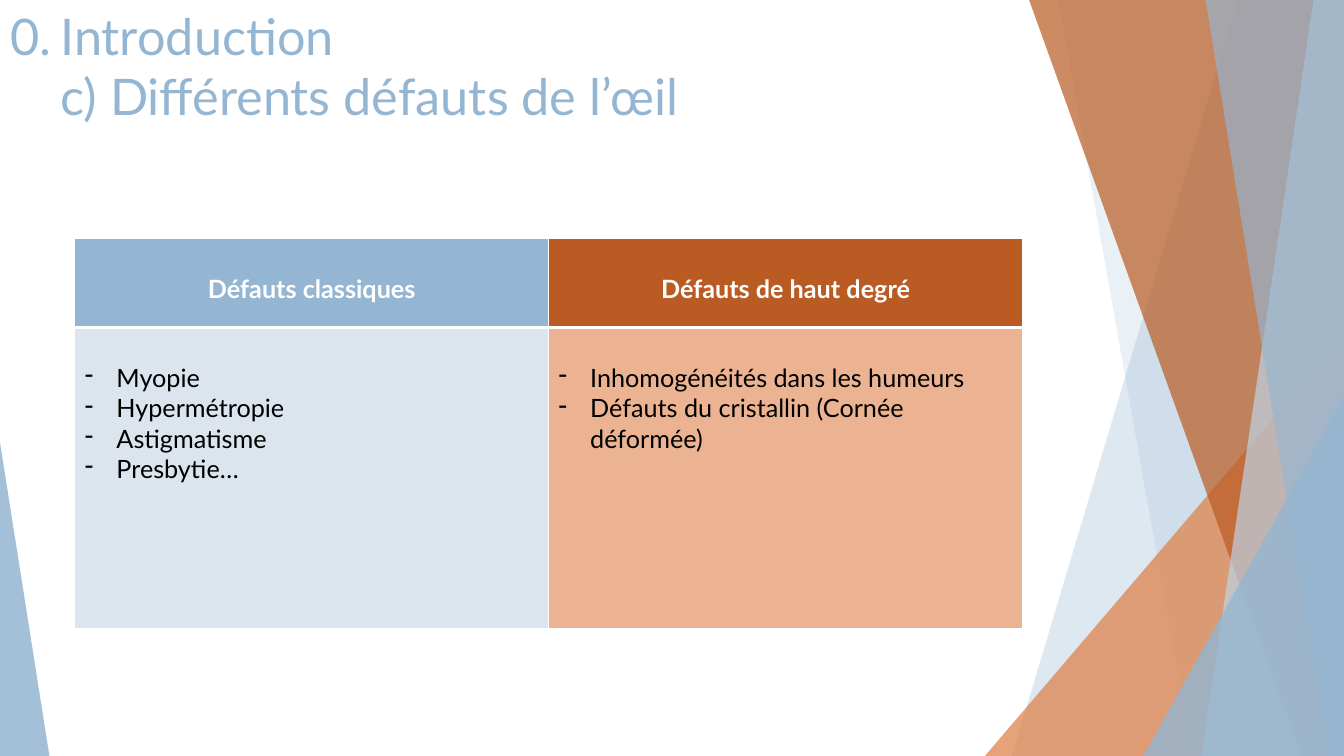
import pptx
import pptx.util
import pptx.dml.color
import pptx.enum.shapes
import pptx.enum.text
import pptx.oxml.ns
from lxml import etree

Pt = pptx.util.Pt
RGB = pptx.dml.color.RGBColor.from_string
qn = pptx.oxml.ns.qn


class Theme:
    font = "Lato"
    title_size, body_size = 36, 18
    blue, pale_blue, mist = "94B6D2", "DCE5EE", "BFD3E4"
    rust, orange, peach = "B95B22", "DD8047", "EBB391"
    white, black = "FFFFFF", "000000"


SLIDE_W, SLIDE_H = 960, 540


def add_run(p, text, size, color, bold=False):
    r = p.add_run()
    r.text = text
    r.font.name, r.font.size, r.font.bold = Theme.font, Pt(size), bold
    r.font.color.rgb = RGB(color)


def paint(sp, color, opacity):
    """Flat translucent fill without line or shadow."""
    sp.shadow.inherit = False
    sp.line.fill.background()
    sp.fill.solid()
    sp.fill.fore_color.rgb = RGB(color)
    clr = sp.fill._xPr.find(qn("a:solidFill"))[0]
    etree.SubElement(clr, qn("a:alpha"), val=str(opacity * 1000))


def add_wedge(s, top_x, bottom_x, color, opacity):
    """Full-height panel from a slanted left side to the right slide edge."""
    fb = s.shapes.build_freeform(Pt(top_x), 0, scale=1.0)
    fb.add_line_segments([(Pt(SLIDE_W), 0), (Pt(SLIDE_W), Pt(SLIDE_H)),
                          (Pt(bottom_x), Pt(SLIDE_H))], close=True)
    paint(fb.convert_to_shape(), color, opacity)


def add_corner(s, x, w, h, apex, color, opacity):
    """Right triangle standing on the bottom edge; apex 0 is left, 1 is right."""
    sp = s.shapes.add_shape(pptx.enum.shapes.MSO_SHAPE.ISOSCELES_TRIANGLE,
                            Pt(x), Pt(SLIDE_H - h), Pt(w), Pt(h))
    sp.adjustments[0] = apex
    paint(sp, color, opacity)


def add_facets(s):
    t = Theme
    add_wedge(s, 884.2, 722.9, t.blue, 30)
    add_wedge(s, 756, 851.8, t.blue, 20)
    add_corner(s, 703.5, 256.5, 300.2, 1, t.orange, 72)
    add_wedge(s, 735.1, 929.5, t.rust, 70)
    add_wedge(s, 938.2, 858.2, t.mist, 70)
    add_wedge(s, 861.1, 949, t.blue, 65)
    add_corner(s, 816.7, 143.3, 257, 1, t.blue, 80)
    add_corner(s, 0, 35.3, 223.9, 0, t.blue, 85)


def add_title(s, x, y, w, h):
    sp = s.shapes.title
    sp.left, sp.top, sp.width, sp.height = Pt(x), Pt(y), Pt(w), Pt(h)
    tf = sp.text_frame
    tf.word_wrap = True
    tf.auto_size = pptx.enum.text.MSO_AUTO_SIZE.NONE
    tf.vertical_anchor = pptx.enum.text.MSO_ANCHOR.TOP
    p = tf.paragraphs[0]
    p.alignment = pptx.enum.text.PP_ALIGN.LEFT
    tabs = etree.SubElement(p._p.get_or_add_pPr(), qn("a:tabLst"))
    etree.SubElement(tabs, qn("a:tab"), pos=str(Pt(36)), algn="l")
    add_run(p, "0.\tIntroduction", Theme.title_size, Theme.blue)
    p.add_line_break()
    add_run(p, "\tc) Différents défauts de l’œil", Theme.title_size, Theme.blue)


def set_borders(cell, top, bottom):
    tcPr = cell._tc.get_or_add_tcPr()
    for side, width in (("L", 1), ("R", 1), ("T", top), ("B", bottom)):
        ln = etree.SubElement(tcPr, qn("a:ln" + side), w=str(Pt(width)))
        fill = etree.SubElement(ln, qn("a:solidFill"))
        etree.SubElement(fill, qn("a:srgbClr"), val=Theme.white)


def fill_cell(cell, lines, fill, header):
    set_borders(cell, *((1, 3) if header else (3, 1)))
    cell.fill.solid()
    cell.fill.fore_color.rgb = RGB(fill)
    cell.margin_top = Pt(25.2)
    tf = cell.text_frame
    for i, line in enumerate(lines):
        p = tf.add_paragraph() if i else tf.paragraphs[0]
        if header:
            p.alignment = pptx.enum.text.PP_ALIGN.CENTER
        else:
            pPr = p._p.get_or_add_pPr()
            pPr.set("marL", str(Pt(22.5)))
            pPr.set("indent", str(-Pt(22.5)))
            etree.SubElement(pPr, qn("a:buChar"), char="-")
        add_run(p, line, Theme.body_size,
                Theme.white if header else Theme.black, header)


def add_defects_table(s, x, y, w, header_h, body_h):
    columns = [
        ("Défauts classiques", Theme.blue, Theme.pale_blue,
         ["Myopie", "Hypermétropie", "Astigmatisme", "Presbytie…"]),
        ("Défauts de haut degré", Theme.rust, Theme.peach,
         ["Inhomogénéités dans les humeurs",
          "Défauts du cristallin (Cornée déformée)"]),
    ]
    tbl = s.shapes.add_table(2, len(columns), Pt(x), Pt(y), Pt(w),
                             Pt(header_h + body_h)).table
    tbl.horz_banding = False
    tbl.rows[0].height, tbl.rows[1].height = Pt(header_h), Pt(body_h)
    for c, (heading, dark, light, defects) in enumerate(columns):
        tbl.columns[c].width = Pt(w / len(columns))
        fill_cell(tbl.cell(0, c), [heading], dark, True)
        fill_cell(tbl.cell(1, c), defects, light, False)


def main():
    prs = pptx.Presentation()
    prs.slide_width, prs.slide_height = Pt(SLIDE_W), Pt(SLIDE_H)
    s = prs.slides.add_slide(prs.slide_layouts[5])
    # Decorative facets
    add_facets(s)
    # Title
    add_title(s, 0, 0, 676.8, 103.7)
    # Table of eye defects
    add_defects_table(s, 53.5, 170, 676.8, 64, 215.3)
    prs.save("out.pptx")


if __name__ == "__main__":
    main()
